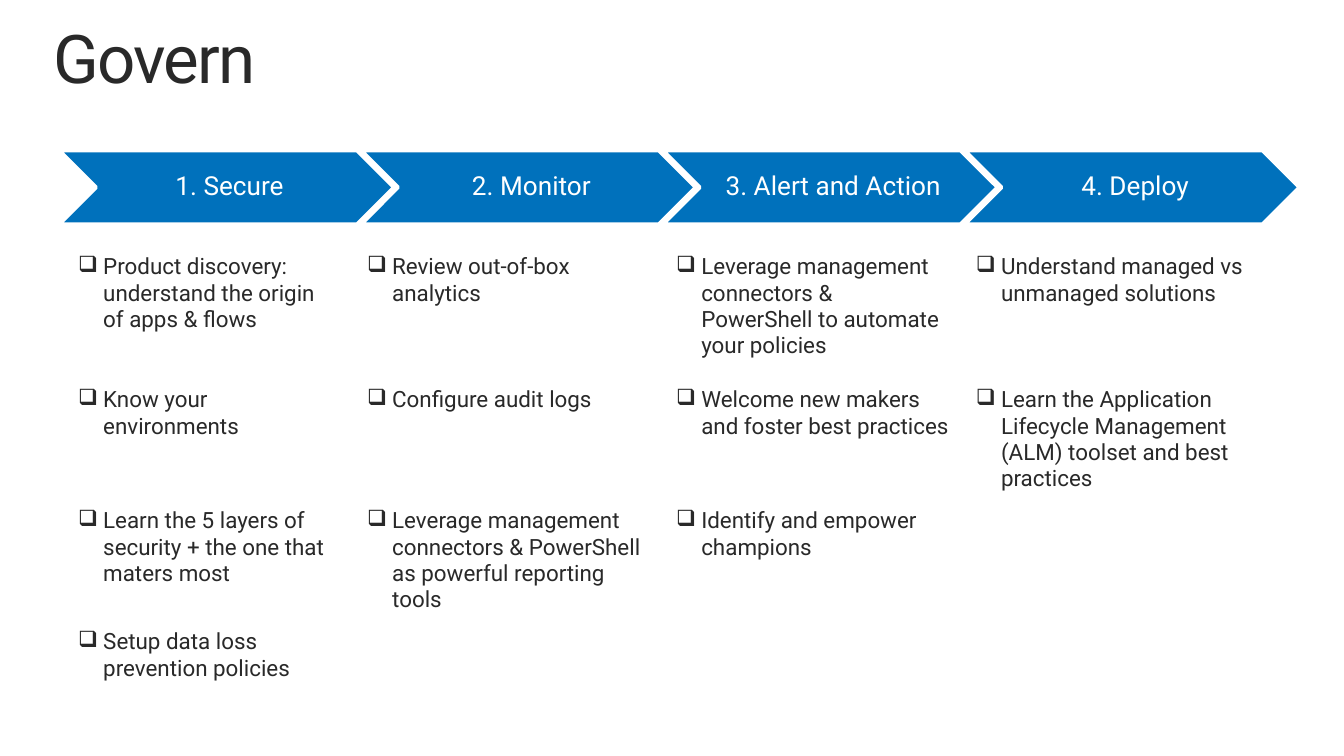
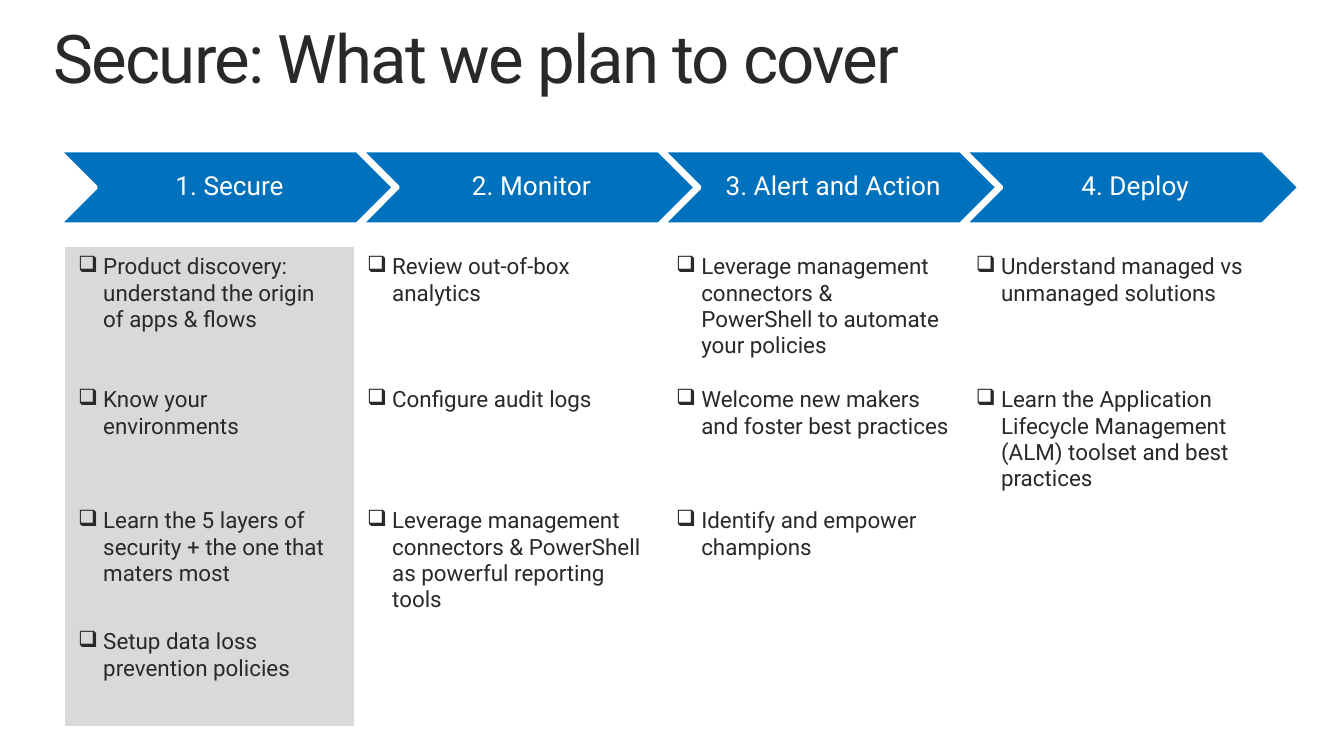
"""Build two slides on governance: the four stages and the plan for the first."""
from lxml import etree
from pptx import Presentation
from pptx import util as u
from pptx.dml.color import RGBColor
from pptx.enum import shapes, text
from pptx.oxml import ns

COLORS = {"ink": "292929", "blue": "0071BC", "white": "FFFFFF", "grey": "D9D9D9"}
FONT = "Roboto"
NO_GRID_STYLE = "{2D5ABB26-0587-4C30-8999-92F81FD0307C}"
STAGES = ["1. Secure", "2. Monitor", "3. Alert and Action", "4. Deploy"]
TOPICS = [
    [
        "Product discovery: understand the origin of apps & flows",
        "Review out-of-box analytics",
        "Leverage management connectors & PowerShell to automate your policies",
        "Understand managed vs unmanaged solutions",
    ],
    [
        "Know your environments",
        "Configure audit logs",
        "Welcome new makers and foster best practices",
        "Learn the Application Lifecycle Management (ALM) toolset and best practices",
    ],
    [
        "Learn the 5 layers of security + the one that maters most",
        "Leverage management connectors & PowerShell as powerful reporting tools",
        "Identify and empower champions",
        "",
    ],
    ["Setup data loss prevention policies", "", "", ""],
]
COLUMN_WIDTHS = [154.8, 165.6, 160.6, 175.7]
ROW_HEIGHTS = [71.3, 58.3, 64.8, 55.4]
SLIDES = [
    ("Govern", {}),
    ("Secure: What we plan to cover", {0: "grey", 1: "white"}),
]


def write(frame, words, size=12, color="ink", align=text.PP_ALIGN.LEFT,
          line_spacing=None, letter_spacing=None, bullet=None, indent=13.5):
    """Put one formatted paragraph into a text frame."""
    para = frame.paragraphs[0]
    para.alignment = align
    if line_spacing:
        para.line_spacing = line_spacing
    if bullet:
        props = para._p.get_or_add_pPr()
        props.set("marL", str(u.Pt(indent)))
        props.set("indent", str(-u.Pt(indent)))
        etree.SubElement(props, ns.qn("a:buChar")).set("char", bullet)
    span = para.add_run()
    span.text = words
    span.font.name = FONT
    span.font.size = u.Pt(size)
    span.font.color.rgb = RGBColor.from_string(COLORS[color])
    if letter_spacing:
        span._r.get_or_add_rPr().set("spc", str(round(letter_spacing * 100)))


deck = Presentation()
deck.slide_width, deck.slide_height = u.Pt(720), u.Pt(405)

for heading, column_fills in SLIDES:
    page = deck.slides.add_slide(deck.slide_layouts[5])

    title = page.shapes.title
    title.left, title.top = u.Pt(28.8), u.Pt(13.7)
    title.width, title.height = u.Pt(667.4), u.Pt(39.6)
    frame = title.text_frame
    frame.margin_left = frame.margin_top = frame.margin_right = frame.margin_bottom = 0
    frame.vertical_anchor = text.MSO_ANCHOR.TOP
    frame.word_wrap = True
    frame.auto_size = text.MSO_AUTO_SIZE.SHAPE_TO_FIT_TEXT
    write(frame, heading, size=36, line_spacing=0.9, letter_spacing=-1)

    process = page.shapes.add_group_shape()
    for index, stage in enumerate(STAGES):
        left = 31.7 + index * 161.7
        chevron = process.shapes.add_shape(
            shapes.MSO_SHAPE.CHEVRON, u.Pt(left), u.Pt(80.6), u.Pt(179.3), u.Pt(39.6))
        chevron.shadow.inherit = False
        chevron.fill.solid()
        chevron.fill.fore_color.rgb = RGBColor.from_string(COLORS["blue"])
        chevron.line.color.rgb = RGBColor.from_string(COLORS["white"])
        chevron.line.width = u.Pt(2)

        box = process.shapes.add_textbox(
            u.Pt(left + 19.6), u.Pt(80.6), u.Pt(140.4), u.Pt(39.6))
        frame = box.text_frame
        frame.word_wrap = True
        frame.vertical_anchor = text.MSO_ANCHOR.MIDDLE
        frame.margin_left = u.Pt(4.4)
        frame.margin_top = frame.margin_right = frame.margin_bottom = u.Pt(1.4)
        write(frame, stage, size=14, color="white",
              align=text.PP_ALIGN.CENTER, line_spacing=0.9)

    table = page.shapes.add_table(
        len(TOPICS), len(STAGES), u.Pt(34.6), u.Pt(132.5),
        u.Pt(sum(COLUMN_WIDTHS)), u.Pt(sum(ROW_HEIGHTS))).table
    table.first_row = table.horz_banding = False
    table._tbl.tblPr.find(ns.qn("a:tableStyleId")).text = NO_GRID_STYLE
    for column, width in zip(table.columns, COLUMN_WIDTHS):
        column.width = u.Pt(width)
    for row, height in zip(table.rows, ROW_HEIGHTS):
        row.height = u.Pt(height)

    for row, topics in enumerate(TOPICS):
        for column, topic in enumerate(topics):
            cell = table.cell(row, column)
            if column in column_fills:
                cell.fill.solid()
                cell.fill.fore_color.rgb = RGBColor.from_string(
                    COLORS[column_fills[column]])
            else:
                cell.fill.background()
            if topic:
                write(cell.text_frame, topic, bullet="❑")

deck.save("out.pptx")
